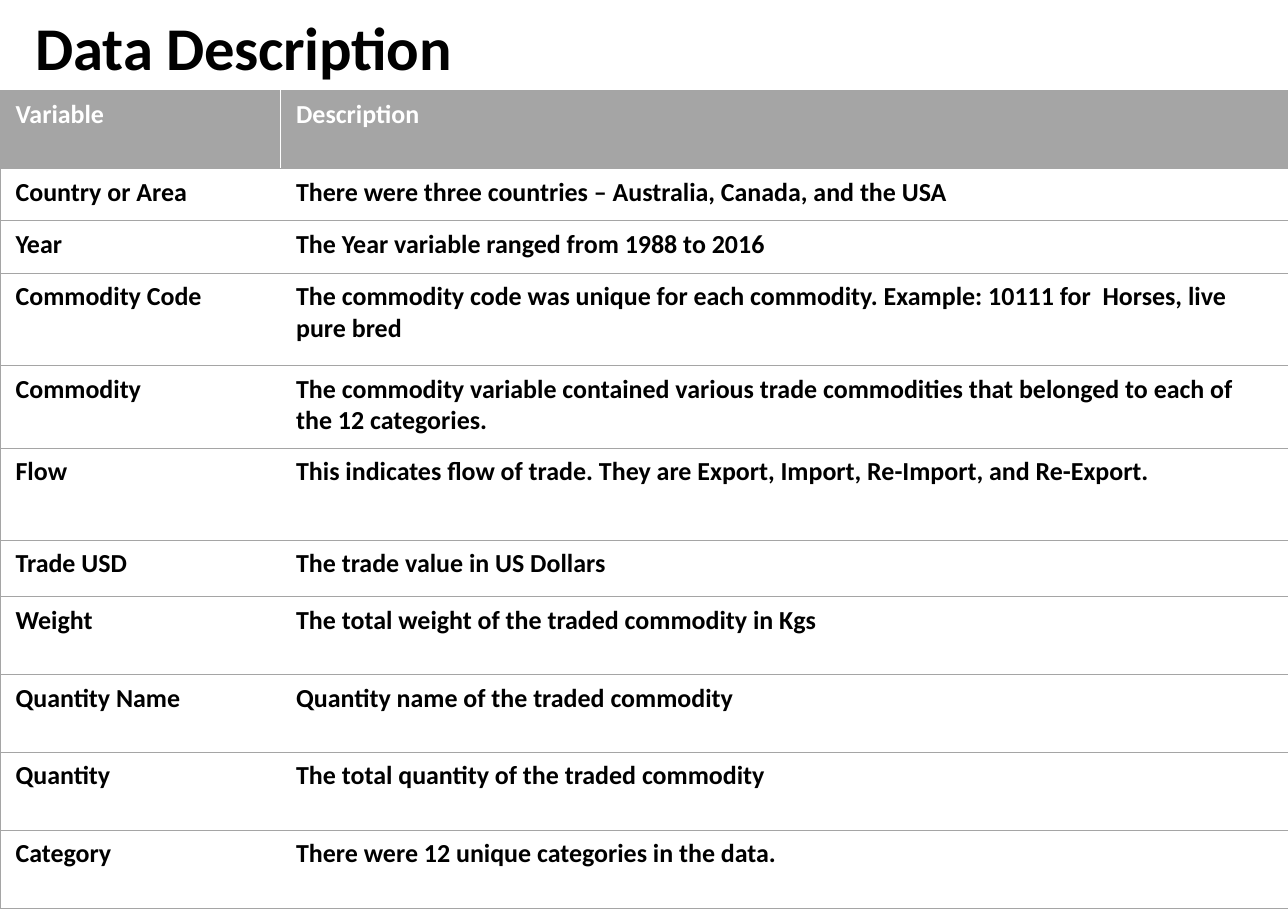
import pptx
import pptx.dml.color
import pptx.enum.text
import pptx.oxml
import pptx.oxml.ns
import pptx.util
from pptx.util import Cm

HEADING = "Data Description"
COLUMN_HEADS = ("Variable", "Description")
VARIABLES = [  # name, description, row height in cm
    ("Country or Area", "There were three countries – Australia, Canada, and the USA", 0.85),
    ("Year", "The Year variable ranged from 1988 to 2016", 0.85),
    ("Commodity Code", "The commodity code was unique for each commodity. "
     "Example: 10111 for  Horses, live pure bred", 1.51),
    ("Commodity", "The commodity variable contained various trade commodities "
     "that belonged to each of the 12 categories.", 1.34),
    ("Flow", "This indicates flow of trade. They are Export, Import, "
     "Re-Import, and Re-Export.", 1.5),
    ("Trade USD", "The trade value in US Dollars", 0.92),
    ("Weight", "The total weight of the traded commodity in Kgs", 1.27),
    ("Quantity Name", "Quantity name of the traded commodity", 1.27),
    ("Quantity", "The total quantity of the traded commodity", 1.27),
    ("Category", "There were 12 unique categories in the data.", 1.27),
]
SLIDE_WIDTH, SLIDE_HEIGHT = 20.98, 14.81
HEAD_HEIGHT = 1.27
NAME_WIDTH = 4.57
TABLE_TOP = 1.48
THEME = {
    "font": "Calibri", "heading_size": 28, "cell_size": 12, "rule_width": 0.5,
    "text": "000000", "head_text": "FFFFFF", "grey": "A5A5A5",
}


def rgb(colour):
    return pptx.dml.color.RGBColor.from_string(colour)


def write(text_frame, text, size, colour):
    run = text_frame.paragraphs[0].add_run()
    run.text = text
    run.font.name = THEME["font"]
    run.font.size = pptx.util.Pt(size)
    run.font.bold = True
    run.font.color.rgb = rgb(colour)
    return run


def rule_cell(cell, sides):
    """Draw grey borders on the given sides, listed in the order L, R, T, B."""
    properties = cell._tc.get_or_add_tcPr()
    width = pptx.util.Pt(THEME["rule_width"])
    for position, side in enumerate(sides):
        border = pptx.oxml.parse_xml(
            f'<a:ln{side} {pptx.oxml.ns.nsdecls("a")} w="{int(width)}">'
            f'<a:solidFill><a:srgbClr val="{THEME["grey"]}"/></a:solidFill></a:ln{side}>')
        properties.insert(position, border)


def add_heading(slide):
    title = slide.shapes.title
    title.left, title.top, title.width, title.height = Cm(0.33), Cm(0.03), Cm(11.23), Cm(1.45)
    frame = title.text_frame
    frame.auto_size = pptx.enum.text.MSO_AUTO_SIZE.NONE
    frame.vertical_anchor = pptx.enum.text.MSO_ANCHOR.MIDDLE
    frame.paragraphs[0].alignment = pptx.enum.text.PP_ALIGN.LEFT
    run = write(frame, HEADING, THEME["heading_size"], THEME["text"])
    run.font._element.set("spc", "-10")


def add_variable_table(slide):
    rows = [(*COLUMN_HEADS, HEAD_HEIGHT), *VARIABLES]
    table_height = sum(height for _, _, height in rows)
    table = slide.shapes.add_table(
        len(rows), len(COLUMN_HEADS), Cm(0), Cm(TABLE_TOP), Cm(SLIDE_WIDTH), Cm(table_height)).table
    table.horz_banding = False
    table.columns[0].width = Cm(NAME_WIDTH)
    table.columns[1].width = Cm(SLIDE_WIDTH - NAME_WIDTH)
    for row_index, (name, description, height) in enumerate(rows):
        table.rows[row_index].height = Cm(height)
        is_head = row_index == 0
        colour = THEME["head_text"] if is_head else THEME["text"]
        for column, (text, outer_side) in enumerate(((name, "L"), (description, "R"))):
            cell = table.cell(row_index, column)
            if is_head:
                cell.fill.solid()
                cell.fill.fore_color.rgb = rgb(THEME["grey"])
            else:
                cell.fill.background()
            rule_cell(cell, outer_side + "TB")
            write(cell.text_frame, text, THEME["cell_size"], colour)


def main():
    deck = pptx.Presentation()
    deck.slide_width, deck.slide_height = Cm(SLIDE_WIDTH), Cm(SLIDE_HEIGHT)
    slide = deck.slides.add_slide(deck.slide_layouts.get_by_name("Title Only"))
    add_heading(slide)
    add_variable_table(slide)
    deck.save("out.pptx")


if __name__ == "__main__":
    main()
